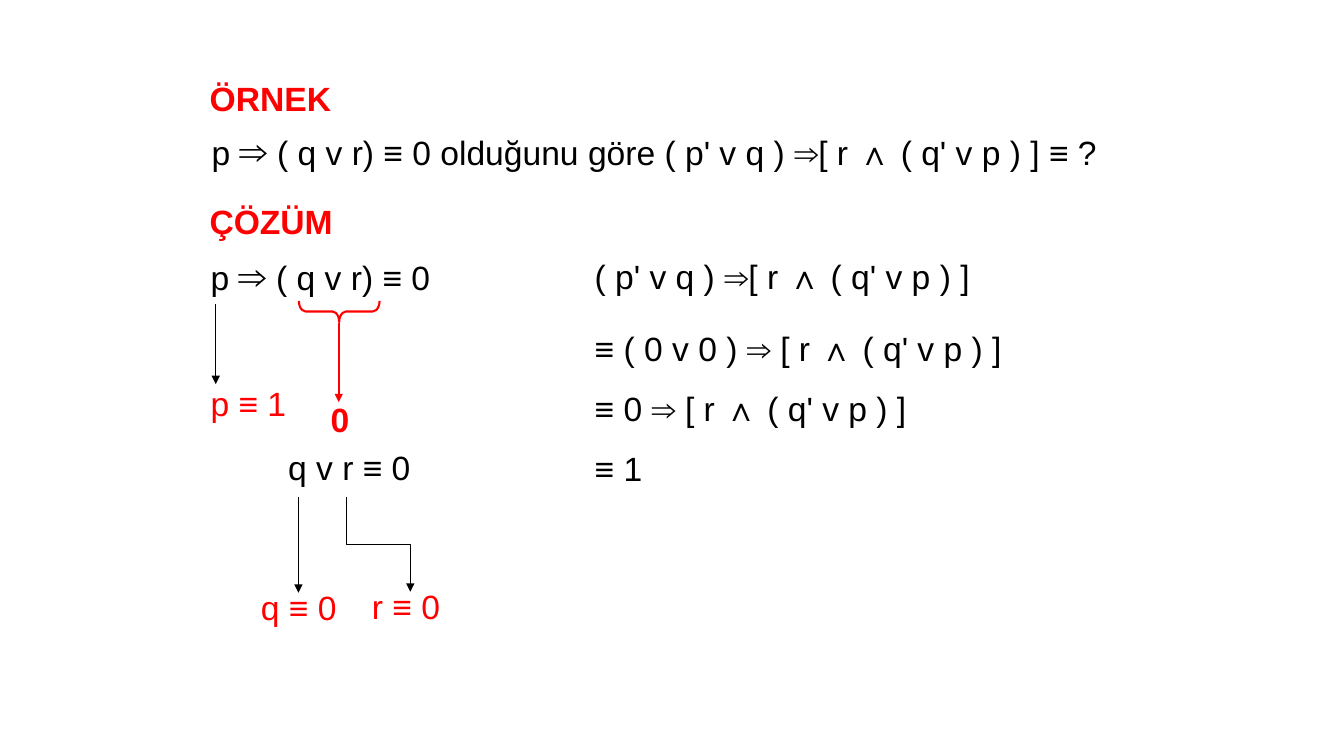
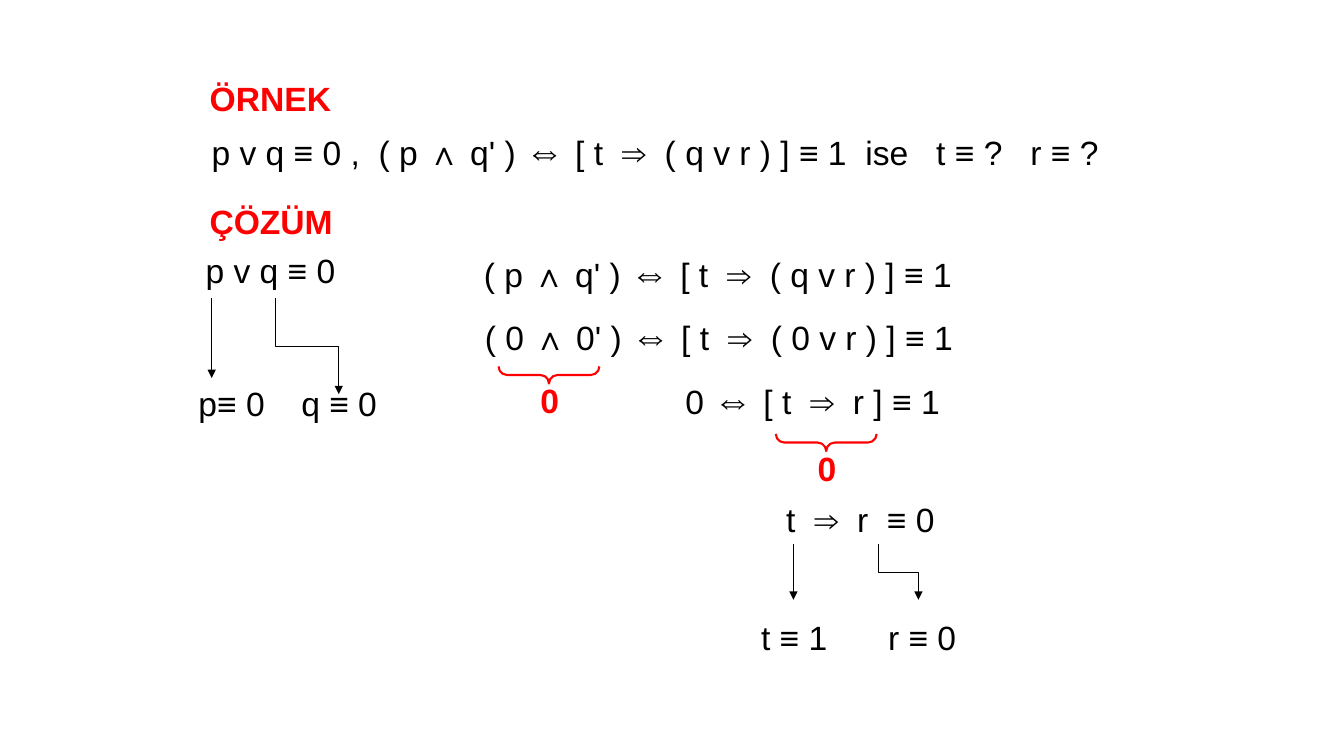
from lxml import etree
from pptx import Presentation
from pptx.dml.color import RGBColor
from pptx.enum import shapes, text
from pptx.oxml import ns
from pptx.util import Inches, Pt

RED = RGBColor(0xFF, 0x00, 0x00)
BLACK = RGBColor(0x00, 0x00, 0x00)
FONT = "Arial"
SIZE, LARGE = 24, 28
LINE_HEIGHT = 0.5
THIN, THICK = 0.75, 1.5


def write(box, content, left, top, width, color=BLACK, bold=False, height=LINE_HEIGHT):
    """Parts are split by "|"; a leading "*" makes a part bold, "^" makes it large."""
    box.left, box.top = Inches(left), Inches(top)
    box.width, box.height = Inches(width), Inches(height)
    frame = box.text_frame
    frame.word_wrap = True
    frame.auto_size = text.MSO_AUTO_SIZE.NONE
    frame.vertical_anchor = text.MSO_ANCHOR.TOP
    paragraph = frame.paragraphs[0]
    paragraph.alignment = text.PP_ALIGN.LEFT
    for part in content.split("|"):
        run = paragraph.add_run()
        run.text = part.lstrip("*^")
        run.font.name = FONT
        run.font.size = Pt(LARGE if part.startswith("^") else SIZE)
        run.font.bold = bold or part.startswith("*")
        run.font.color.rgb = color


def draw_arrow(slide, points, color=BLACK, weight=THIN):
    corners = [(Inches(x), Inches(y)) for x, y in points]
    if len(corners) == 2:
        arrow = slide.shapes.add_connector(shapes.MSO_CONNECTOR.STRAIGHT, *corners[0], *corners[1])
    else:
        outline = slide.shapes.build_freeform(*corners[0])
        outline.add_line_segments(corners[1:], close=False)
        arrow = outline.convert_to_shape()
        arrow.fill.background()
    arrow.line.color.rgb = color
    arrow.line.width = Pt(weight)
    properties = arrow.element.spPr
    line = properties.find(ns.qn("a:ln"))
    etree.SubElement(line, ns.qn("a:tailEnd"), type="triangle")
    etree.SubElement(properties, ns.qn("a:effectLst"))


examples = [
    {
        "question": "p |^⇒| ( q v r) ≡ 0 olduğunu göre ( p' v q ) ⇒[ r |*∧| ( q' v p ) ] ≡ ?",
        "steps": [
            ("p |^⇒| ( q v r) ≡ 0", 1.99, 2.44, 2.55),
            ("q v r ≡ 0", 2.76, 4.38, 1.44),
            ("( p' v q ) ⇒[ r |*∧| ( q' v p ) ]", 5.8, 2.49, 4.4),
            ("≡ ( 0 v 0 ) ⇒ [ r |*∧| ( q' v p ) ]", 5.8, 3.2, 4.4),
            ("≡ 0 ⇒ [ r |*∧| ( q' v p ) ]", 5.8, 3.8, 4.4),
            ("≡ 1", 5.8, 4.39, 4.4),
        ],
        "results": [
            ("p ≡ 1", 1.99, 3.75),
            ("q ≡ 0", 2.49, 5.77),
            ("r ≡ 0", 3.59, 5.76),
        ],
        "result_color": RED,
        "zeros": [(3.18, 3.91)],
        "braces": [(3.26, 2.69, 0.21, 0.8, 0.32)],
        "arrows": [(2.14, 3.02, 3.81), (2.96, 4.93, 5.88)],
        "red_arrows": [(3.36, 3.2, 3.99)],
        "elbows": [(3.44, 4.93, 4.07, 5.87)],
    },
    {
        "question": "p v q ≡ 0 ,  ( p |*∧| q' ) |^⇔ |[ t  |*⇒|  ( q v r ) ] ≡ 1  ise   t ≡ ?   r ≡ ?",
        "steps": [
            ("p v q ≡ 0", 1.94, 2.43, 1.58),
            ("( p |*∧| q' ) |^⇔ |[ t  |*⇒|  ( q v r ) ] ≡ 1", 4.7, 2.41, 5.07),
            ("( 0 |*∧| 0' ) |^⇔ |[ t  |*⇒|  ( 0 v r ) ] ≡ 1", 4.71, 3.04, 5.07),
            ("0 |^⇔ |[ t  |*⇒|  r ] ≡ 1", 6.7, 3.67, 5.07),
            ("t  |*⇒|  r  ≡ 0", 7.7, 4.9, 1.8),
        ],
        "results": [
            ("p≡ 0", 1.87, 3.75),
            ("q ≡ 0", 2.89, 3.75),
            ("t ≡ 1", 7.45, 6.07),
            ("r ≡ 0", 8.71, 6.07),
        ],
        "result_color": BLACK,
        "zeros": [(5.26, 3.72), (8.01, 4.39)],
        "braces": [(5.36, 3.22, 0.17, 1, 0.5), (8.11, 3.89, 0.17, 1, 0.5)],
        "arrows": [(2.1, 2.96, 3.75), (7.87, 5.4, 5.95)],
        "red_arrows": [],
        "elbows": [(2.73, 2.96, 3.36, 3.91), (8.71, 5.4, 9.11, 5.95)],
    },
]

presentation = Presentation()
presentation.slide_width, presentation.slide_height = Inches(13.33), Inches(7.5)
title_only = presentation.slide_layouts[5]

for example in examples:
    slide = presentation.slides.add_slide(title_only)
    write(slide.shapes.title, "ÖRNEK", 1.98, 0.72, 1.49, color=RED, bold=True)

    lines = [
        ("ÇÖZÜM", 1.98, 1.94, 1.49, RED, True),
        (example["question"], 2, 1.2, 9.16, BLACK, False, 0.57),
    ]
    lines += example["steps"]
    lines += [(*result, 0.97, example["result_color"]) for result in example["results"]]
    lines += [("0", left, top, 0.38, RED, True) for left, top in example["zeros"]]
    for line in lines:
        write(slide.shapes.add_textbox(0, 0, 0, 0), *line)

    for left, top, width, height, curve in example["braces"]:
        brace = slide.shapes.add_shape(
            shapes.MSO_SHAPE.LEFT_BRACE, Inches(left), Inches(top), Inches(width), Inches(height)
        )
        brace.rotation = 270
        brace.adjustments[0] = curve
        brace.fill.background()
        brace.line.color.rgb = RED
        brace.line.width = Pt(THICK)
        brace.shadow.inherit = False

    for x, top, bottom in example["arrows"]:
        draw_arrow(slide, [(x, top), (x, bottom)])
    for x, top, bottom in example["red_arrows"]:
        draw_arrow(slide, [(x, top), (x, bottom)], color=RED, weight=THICK)
    for left, top, right, bottom in example["elbows"]:
        middle = (top + bottom) / 2
        draw_arrow(slide, [(left, top), (left, middle), (right, middle), (right, bottom)])

presentation.save("out.pptx")
